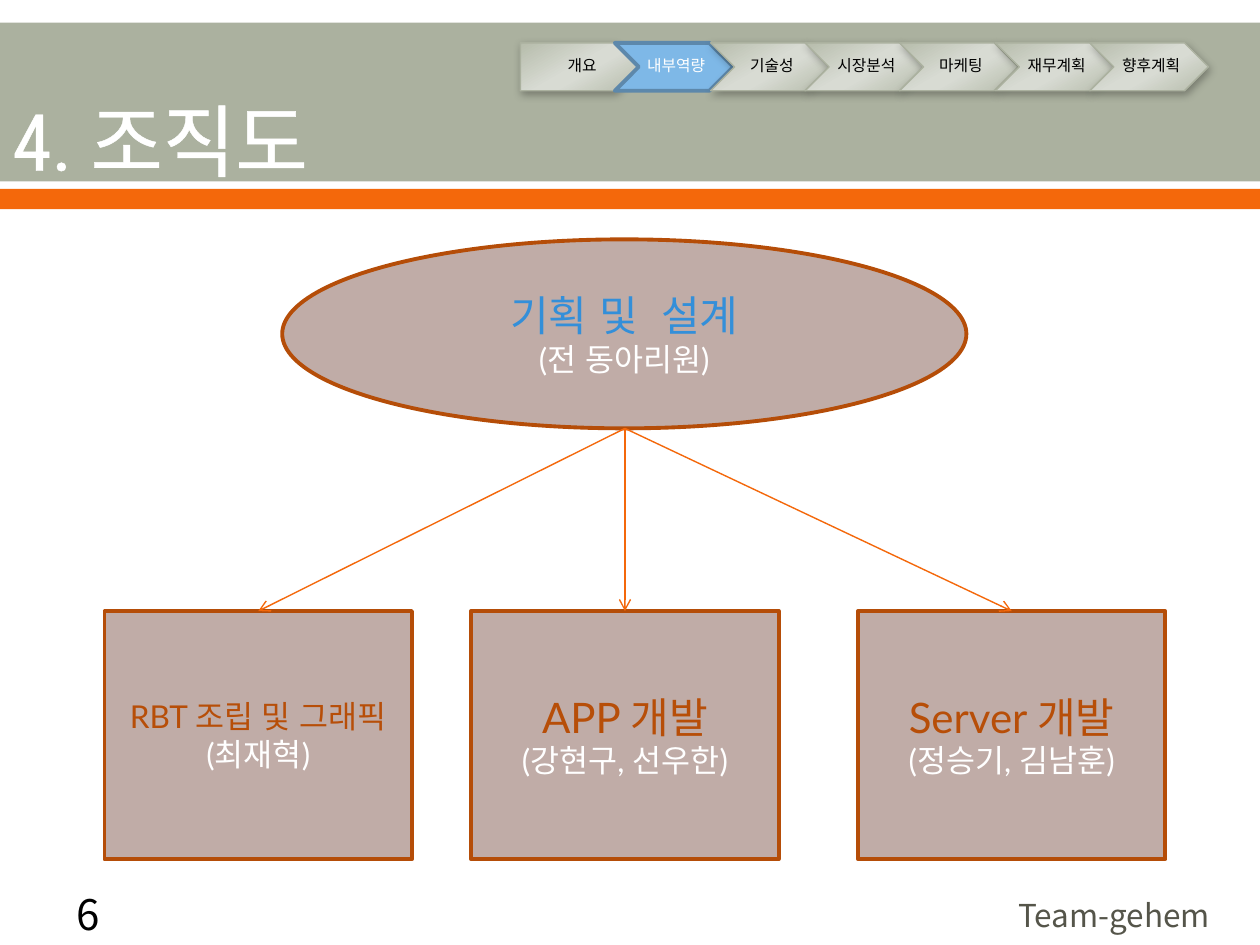
import dataclasses

import lxml.etree
import pptx
import pptx.dml.color
import pptx.enum.lang
import pptx.enum.shapes
import pptx.enum.text
import pptx.oxml
import pptx.oxml.ns
import pptx.util

SCALE = 9144
SHAPES = pptx.enum.shapes.MSO_SHAPE
ANCHOR = pptx.enum.text.MSO_ANCHOR
ALIGN = pptx.enum.text.PP_ALIGN
NAMESPACE = pptx.oxml.ns.nsdecls("a")


@dataclasses.dataclass(frozen=True)
class Theme:
    """Colours, fonts and type sizes of the slide."""
    white: str = "FFFFFF"
    black: str = "000000"
    sage: str = "ABB19F"
    sage_mid: str = "B6BCAB"
    sage_light: str = "D8DBD3"
    orange: str = "F4680B"
    rust: str = "B54D08"
    rust_text: str = "B74E08"
    mauve: str = "C0ACA7"
    blue_text: str = "338FD9"
    active_fill: str = "7EB8E7"
    active_line: str = "5D88AB"
    footer: str = "55554A"
    heading_font: str = "Roboto Condensed"
    body_font: str = "Lato"
    korean_font: str = "Noto Sans CJK KR"
    title_size: int = 45
    large_size: int = 24
    medium_size: int = 18
    small_size: int = 9
    thick: float = 2.22
    thin: float = 0.79


THEME = Theme()


def px(*lengths):
    """Turn px lengths into EMU."""
    return [pptx.util.Emu(round(length) * SCALE) for length in lengths]


def rgb(color):
    """Turn a hex string into a colour."""
    return pptx.dml.color.RGBColor.from_string(color)


def apply_format(target, values):
    """Set every attribute named in values."""
    for name, value in values.items():
        setattr(target, name, value)


def style_line(line, color, width):
    """Colour a line and set its width in points."""
    line.color.rgb = rgb(color)
    line.width = pptx.util.Pt(width)


def add_text(paragraph, text, size, color, font=THEME.body_font, **values):
    """Write one formatted run into a paragraph."""
    apply_format(paragraph, values)
    run = paragraph.add_run()
    run.text = text
    apply_format(run.font, {
        "size": pptx.util.Pt(size), "name": font,
        "language_id": pptx.enum.lang.MSO_LANGUAGE_ID.KOREAN})
    run.font.color.rgb = rgb(color)
    east_asian = lxml.etree.SubElement(run.font._element, pptx.oxml.ns.qn("a:ea"))
    east_asian.set("typeface", THEME.korean_font)
    return run


def add_shape(shapes, kind, box, fill=None, line=None, width=THEME.thick):
    """Place a preset shape without a shadow."""
    shape = shapes.add_shape(kind, *px(*box))
    shape.shadow.inherit = False
    if fill:
        shape.fill.solid()
        shape.fill.fore_color.rgb = rgb(fill)
    if line:
        style_line(shape.line, line, width)
    else:
        shape.line.fill.background()
    return shape


def add_header(slide, box):
    """Draw the two title bands and set the title over them."""
    left, top, width, height = box
    add_shape(slide.shapes, SHAPES.RECTANGLE, box, THEME.sage)
    add_shape(slide.shapes, SHAPES.RECTANGLE,
              (left, top + height + 6, width, 16), THEME.orange)
    title = slide.shapes.title
    slide.shapes._spTree.append(title._element)
    position = px(left, top + 34, width - 100, 117)
    apply_format(title, dict(zip(("left", "top", "width", "height"), position)))
    apply_format(title.text_frame, {
        "vertical_anchor": ANCHOR.MIDDLE, "word_wrap": True,
        "auto_size": pptx.enum.text.MSO_AUTO_SIZE.NONE})
    run = add_text(title.text_frame.paragraphs[0], "4. 조직도", THEME.title_size,
                   THEME.white, THEME.heading_font, alignment=ALIGN.LEFT)
    run.font._element.insert(0, pptx.oxml.parse_xml(
        f'<a:ln {NAMESPACE} w="13970"><a:solidFill>'
        f'<a:srgbClr val="{THEME.white}"/></a:solidFill></a:ln>'))


def add_bevel_look(shape):
    """Give a step its diagonal gradient and soft shadow."""
    stops = "".join(
        f'<a:gs pos="{position * 1000}"><a:srgbClr val="{color}"/></a:gs>'
        for position, color in ((0, THEME.sage_mid), (48, THEME.sage_light),
                                (58, THEME.sage_light), (100, THEME.sage_mid)))
    properties = shape._element.spPr
    properties.find(pptx.oxml.ns.qn("a:prstGeom")).addnext(pptx.oxml.parse_xml(
        f'<a:gradFill {NAMESPACE} rotWithShape="1"><a:gsLst>{stops}</a:gsLst>'
        '<a:lin ang="3600000" scaled="0"/></a:gradFill>'))
    properties.find(pptx.oxml.ns.qn("a:effectLst")).append(pptx.oxml.parse_xml(
        f'<a:outerShdw {NAMESPACE} blurRad="63500" dist="25400" dir="3600000" '
        f'rotWithShape="0"><a:srgbClr val="{THEME.black}">'
        '<a:alpha val="30000"/></a:srgbClr></a:outerShdw>'))


def add_step_bar(slide, box, labels, active):
    """Draw the row of overlapping steps and highlight the active one."""
    left, top, width, height = box
    step_width = 94
    pitch = (width - step_width) / (len(labels) - 1)
    shapes = slide.shapes.add_group_shape().shapes
    for index, label in enumerate(labels):
        step_box = (left + index * pitch, top, step_width, height)
        kind = SHAPES.CHEVRON if index else SHAPES.PENTAGON
        if label == active:
            add_shape(shapes, kind, step_box, THEME.active_fill, THEME.active_line)
        else:
            add_bevel_look(add_shape(shapes, kind, step_box, None,
                                     THEME.sage, THEME.thin))
        frame = shapes.add_textbox(*px(*step_box)).text_frame
        margins = dict(zip(("margin_left", "margin_top", "margin_right",
                            "margin_bottom"), px(4 if index else 5, 3, 1, 3)))
        apply_format(frame, {"vertical_anchor": ANCHOR.MIDDLE,
                             "word_wrap": True, **margins})
        add_text(frame.paragraphs[0], label, THEME.small_size,
                 THEME.white if label == active else THEME.black,
                 alignment=ALIGN.CENTER, line_spacing=0.9,
                 space_after=pptx.util.Pt(3))


def add_role(slide, kind, box, role, members, color, size=THEME.large_size):
    """Draw one unit with its role above its members."""
    shape = add_shape(slide.shapes, kind, box, THEME.mauve, THEME.rust)
    frame = shape.text_frame
    apply_format(frame, {"vertical_anchor": ANCHOR.MIDDLE, "word_wrap": True})
    add_text(frame.paragraphs[0], role, size, color, alignment=ALIGN.CENTER)
    add_text(frame.add_paragraph(), members, THEME.medium_size, THEME.white,
             alignment=ALIGN.CENTER)
    return shape


def add_arrow(slide, start, target):
    """Run an arrow from a point to the top of a box."""
    arrow = slide.shapes.add_connector(
        pptx.enum.shapes.MSO_CONNECTOR.STRAIGHT, *start, *start)
    arrow.end_connect(target, 0)
    style_line(arrow.line, THEME.orange, THEME.thin)
    arrow.line._get_or_add_ln().append(
        pptx.oxml.parse_xml(f'<a:tailEnd {NAMESPACE} type="arrow"/>'))
    lxml.etree.SubElement(arrow._element.spPr, pptx.oxml.ns.qn("a:effectLst"))


def add_organisation(slide, box):
    """Draw the planning unit, the three teams and the arrows between them."""
    left, top, width, height = box
    add_role(slide, SHAPES.OVAL, (left + 141, top, 543, 150),
             "기획 및  설계", "(전 동아리원)", THEME.blue_text)
    teams = (
        (0, "RBT 조립 및 그래픽", "(최재혁)", THEME.medium_size),
        (291, "APP 개발", "(강현구, 선우한)", THEME.large_size),
        (width - 244, "Server 개발", "(정승기, 김남훈)", THEME.large_size))
    boxes = [
        add_role(slide, SHAPES.RECTANGLE, (left + offset, top + height - 197, 244, 197),
                 role, members, THEME.rust_text, size)
        for offset, role, members, size in teams]
    for team in boxes:
        add_arrow(slide, px(left + 413, top + 150), team)


def add_footer_text(slide, box, text, size, color, **values):
    """Place one line of footer text."""
    frame = slide.shapes.add_textbox(*px(*box)).text_frame
    frame.word_wrap = True
    add_text(frame.paragraphs[0], text, size, color, THEME.korean_font, **values)
    return frame


def add_footer(slide, box):
    """Place the page number and the team name."""
    left, top, width, height = box
    add_footer_text(slide, (left, top, 307, height), "6",
                    THEME.large_size, THEME.black)
    team = add_footer_text(slide, (left + width - 181, top + 6, 181, 44), "Team-gehem",
                           THEME.medium_size, THEME.footer,
                           space_before=pptx.util.Pt(3))
    team.margin_left, = px(17)


def main():
    """Build the slide and save it."""
    presentation = pptx.Presentation()
    presentation.slide_width, presentation.slide_height = px(1000, 750)
    slide = presentation.slides.add_slide(presentation.slide_layouts[5])
    add_header(slide, (0, 18, 1000, 126))
    add_organisation(slide, (83, 190, 842, 492))
    add_footer(slide, (51, 700, 921, 50))
    add_step_bar(slide, (413, 34, 546, 38),
                 ("개요", "내부역량", "기술성", "시장분석", "마케팅", "재무계획",
                  "향후계획"), "내부역량")
    presentation.save("out.pptx")


if __name__ == "__main__":
    main()
